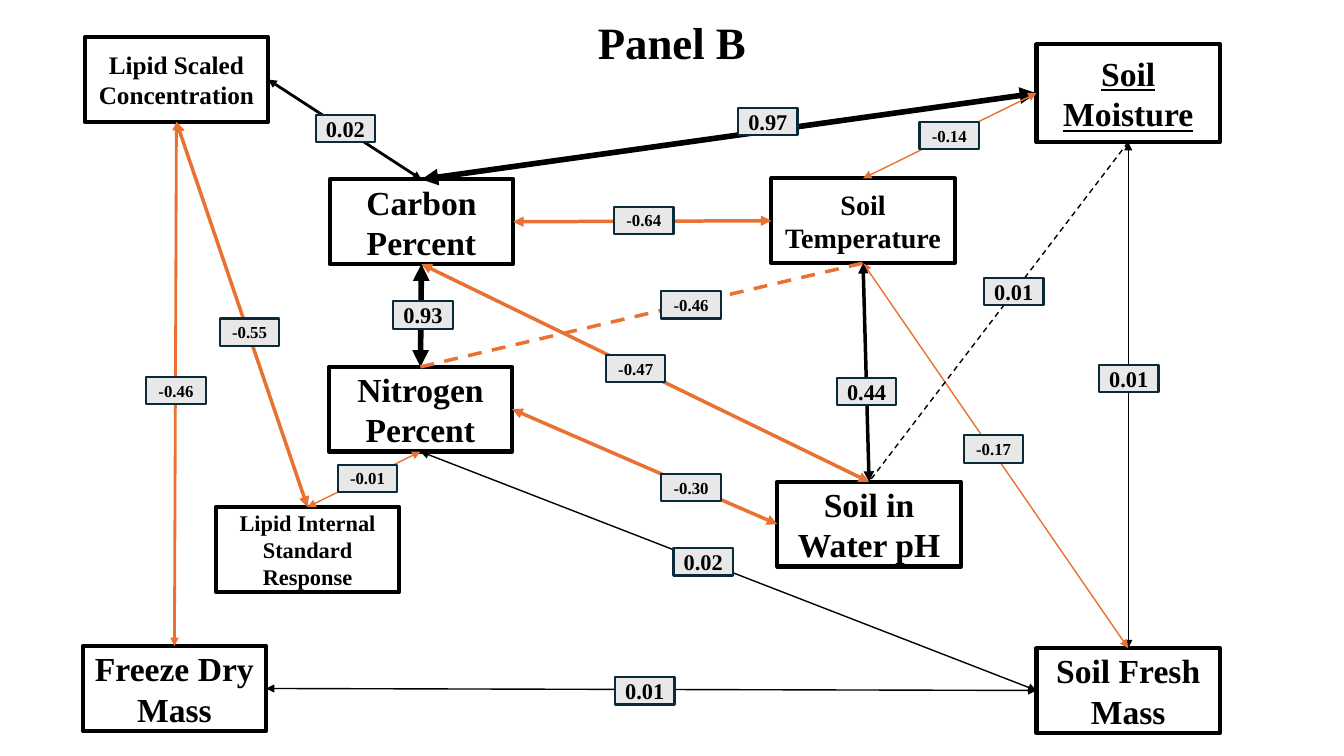
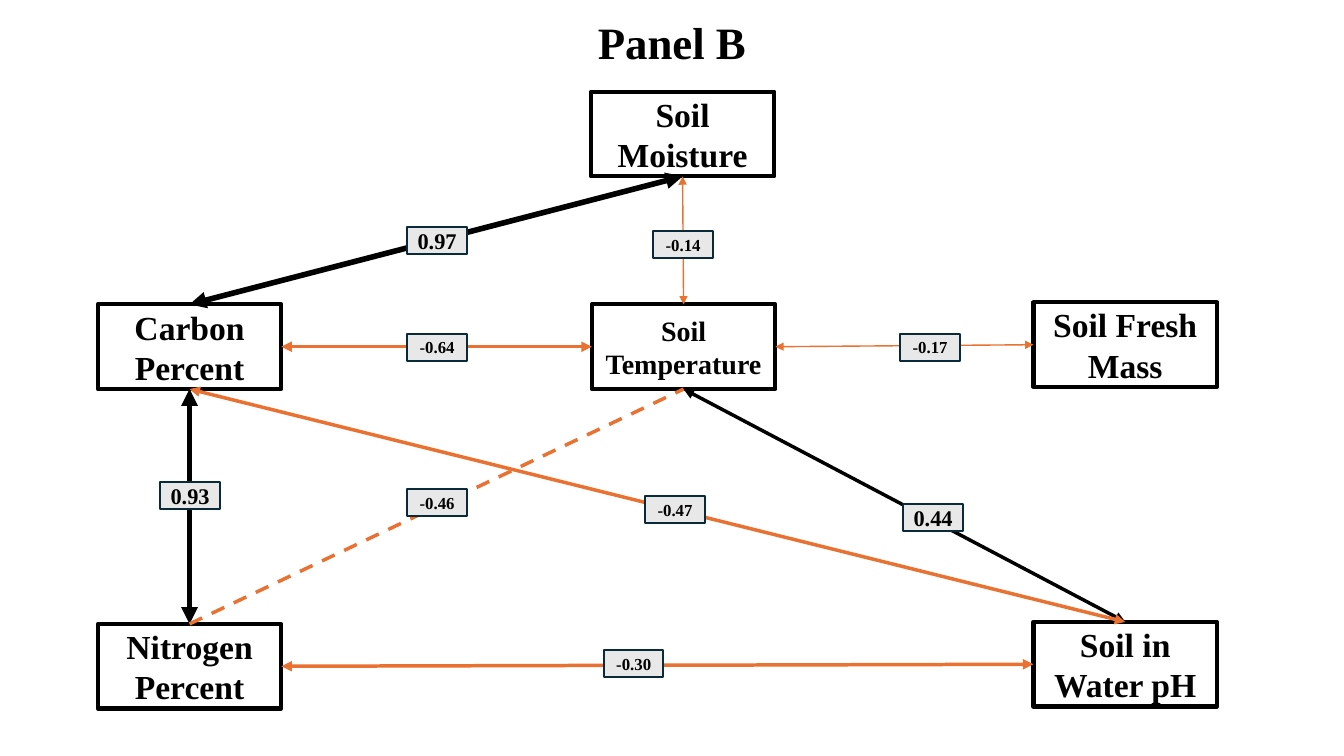
from typing import NamedTuple

from lxml.etree import SubElement
from pptx import Presentation
from pptx.dml.color import RGBColor
from pptx.enum.dml import MSO_LINE
from pptx.enum.shapes import MSO_CONNECTOR, MSO_SHAPE
from pptx.enum.text import MSO_ANCHOR, PP_ALIGN
from pptx.oxml.ns import qn
from pptx.util import Inches, Pt

BLACK, WHITE, ORANGE = "000000", "FFFFFF", "E97132"
LABEL_FILL, LABEL_LINE = "E8E8E8", "092A39"
FONT = "Times New Roman"
NODE_WIDTH, NODE_HEIGHT = 1.82, 0.84
LABEL_WIDTH, LABEL_HEIGHT = 0.59, 0.27
TITLE_AREA = (3.91, 0.09, 5.51, 0.64)
SITES = {"top": 0, "left": 1, "bottom": 2, "right": 3}


class Node(NamedTuple):
    """A variable box of the path diagram."""
    left: float
    top: float
    size: int = 24
    height: float = NODE_HEIGHT
    underline: bool = False


class Link(NamedTuple):
    """A correlation between two boxes and the place of its label."""
    start: str
    start_side: str
    end: str
    end_side: str
    weight: float
    value: str
    left: float
    top: float
    dashed: bool = False


CARBON, NITROGEN = "Carbon Percent", "Nitrogen Percent"
LIPID, STANDARD = "Lipid Scaled Concentration", "Lipid Internal Standard Response"
DRY, FRESH = "Freeze Dry Mass", "Soil Fresh Mass"
ACIDITY, HEAT, MOISTURE = "Soil in Water pH", "Soil Temperature", "Soil Moisture"

FULL_NODES = {
    LIPID: Node(0.84, 0.37, 18),
    STANDARD: Node(2.14, 5.03, 16),
    CARBON: Node(3.27, 1.78),
    NITROGEN: Node(3.26, 3.64),
    DRY: Node(0.82, 6.41),
    ACIDITY: Node(7.71, 4.78),
    HEAT: Node(7.65, 1.77, 20),
    MOISTURE: Node(10.28, 0.44, height=0.97, underline=True),
    FRESH: Node(10.28, 6.43),
}
FULL_LINKS = [
    Link(LIPID, "bottom", STANDARD, "top", 2.5, "-0.55", 2.18, 3.16),
    Link(DRY, "top", LIPID, "bottom", 2, "-0.46", 1.45, 3.74),
    Link(DRY, "right", FRESH, "left", 1, "0.01", 6.1, 6.72),
    Link(MOISTURE, "bottom", FRESH, "top", 1, "0.01", 10.9, 3.62),
    Link(HEAT, "bottom", FRESH, "top", 1, "-0.17", 9.56, 4.32),
    Link(NITROGEN, "bottom", FRESH, "left", 1, "0.02", 6.68, 5.44),
    Link(CARBON, "right", HEAT, "left", 2.5, "-0.64", 6.09, 2.05),
    Link(HEAT, "bottom", ACIDITY, "top", 2.5, "0.44", 8.3, 3.75),
    Link(CARBON, "bottom", NITROGEN, "top", 4, "0.93", 3.9, 2.99),
    Link(NITROGEN, "right", ACIDITY, "left", 2.5, "-0.30", 6.56, 4.7),
    Link(NITROGEN, "top", HEAT, "bottom", 2.5, "-0.46", 6.56, 2.89, True),
    Link(ACIDITY, "top", CARBON, "bottom", 2.5, "-0.47", 6.01, 3.52),
    Link(CARBON, "top", MOISTURE, "left", 4, "0.97", 7.32, 1.07),
    Link(HEAT, "top", MOISTURE, "left", 1, "-0.14", 9.12, 1.21),
    Link(CARBON, "top", LIPID, "right", 2, "0.02", 3.13, 1.14),
    Link(STANDARD, "top", NITROGEN, "bottom", 1, "-0.01", 3.35, 4.61),
    Link(MOISTURE, "bottom", ACIDITY, "top", 1, "0.01", 9.76, 2.76, True),
]
REDUCED_NODES = {
    CARBON: Node(0.97, 3.02),
    NITROGEN: Node(0.97, 6.19),
    ACIDITY: Node(10.25, 6.17),
    HEAT: Node(5.87, 3.02, 20),
    MOISTURE: Node(5.86, 0.91),
    FRESH: Node(10.25, 3.0),
}
REDUCED_LINKS = [
    Link(HEAT, "right", FRESH, "left", 1, "-0.17", 8.93, 3.31),
    Link(CARBON, "right", HEAT, "left", 2.5, "-0.64", 4.04, 3.31),
    Link(HEAT, "bottom", ACIDITY, "top", 2.5, "0.44", 8.96, 5),
    Link(CARBON, "bottom", NITROGEN, "top", 4, "0.93", 1.59, 4.78),
    Link(NITROGEN, "right", ACIDITY, "left", 2.5, "-0.30", 5.99, 6.45),
    Link(NITROGEN, "top", HEAT, "bottom", 2.5, "-0.46", 4.04, 4.85, True),
    Link(ACIDITY, "top", CARBON, "bottom", 2.5, "-0.47", 6.4, 4.92),
    Link(CARBON, "top", MOISTURE, "bottom", 4, "0.97", 4.04, 2.25),
    Link(HEAT, "top", MOISTURE, "bottom", 1, "-0.14", 6.48, 2.29),
]


def paint(target, color):
    """Give a fill, line or font format one solid colour."""
    if hasattr(target, "solid"):
        target.solid()
        target.fore_color.rgb = RGBColor.from_string(color)
    else:
        target.color.rgb = RGBColor.from_string(color)


def write(shape, text, size, wrap=True, underline=False):
    """Write one centred bold paragraph into a shape."""
    frame = shape.text_frame
    frame.word_wrap = wrap
    para = frame.paragraphs[0]
    para.alignment = PP_ALIGN.CENTER
    span = para.add_run()
    span.text = text
    formats = {"name": FONT, "size": Pt(size), "bold": True, "underline": underline}
    for name, value in formats.items():
        setattr(span.font, name, value)
    paint(span.font, BLACK)


def add_title(page, text):
    """Place the panel title in the title placeholder."""
    title = page.shapes.title
    for name, value in zip(("left", "top", "width", "height"), TITLE_AREA):
        setattr(title, name, Inches(value))
    write(title, text, 32)


def add_box(page, area, fill, line, weight):
    """Draw a flat outlined rectangle."""
    box = page.shapes.add_shape(MSO_SHAPE.RECTANGLE, *map(Inches, area))
    box.shadow.inherit = False
    box.text_frame.vertical_anchor = MSO_ANCHOR.MIDDLE
    paint(box.fill, fill)
    paint(box.line, line)
    box.line.width = Pt(weight)
    return box


def add_node(page, name, node):
    """Draw a variable box with its name."""
    area = (node.left, node.top, NODE_WIDTH, node.height)
    box = add_box(page, area, WHITE, BLACK, 3)
    write(box, name, node.size, underline=node.underline)
    return box


def add_link(page, link, boxes):
    """Join two boxes, orange for a negative value and black otherwise."""
    connector = page.shapes.add_connector(MSO_CONNECTOR.STRAIGHT, 0, 0, 0, 0)
    connector.begin_connect(boxes[link.start], SITES[link.start_side])
    connector.end_connect(boxes[link.end], SITES[link.end_side])
    paint(connector.line, ORANGE if link.value.startswith("-") else BLACK)
    connector.line.width = Pt(link.weight)
    if link.dashed:
        connector.line.dash_style = MSO_LINE.DASH
    else:
        for tag in ("a:headEnd", "a:tailEnd"):
            SubElement(connector.get_or_add_ln(), qn(tag), type="triangle")
    SubElement(connector.get_or_add_ln().getparent(), qn("a:effectLst"))


def add_label(page, link):
    """Draw the value label of a link."""
    area = (link.left, link.top, LABEL_WIDTH, LABEL_HEIGHT)
    box = add_box(page, area, LABEL_FILL, LABEL_LINE, 1.5)
    write(box, link.value, 12 if link.value.startswith("-") else 16, wrap=False)


def add_diagram(deck, title, nodes, links):
    """Add a page with boxes below, links between and labels on top."""
    page = deck.slides.add_slide(deck.slide_layouts.get_by_name("Title Only"))
    add_title(page, title)
    boxes = {name: add_node(page, name, node) for name, node in nodes.items()}
    for link in links:
        add_link(page, link, boxes)
    for link in links:
        add_label(page, link)


def main():
    """Build and save the deck."""
    deck = Presentation()
    deck.slide_width, deck.slide_height = Inches(13.33), Inches(7.5)
    add_diagram(deck, "Panel B", FULL_NODES, FULL_LINKS)
    add_diagram(deck, "Panel B", REDUCED_NODES, REDUCED_LINKS)
    deck.save("out.pptx")


if __name__ == "__main__":
    main()
